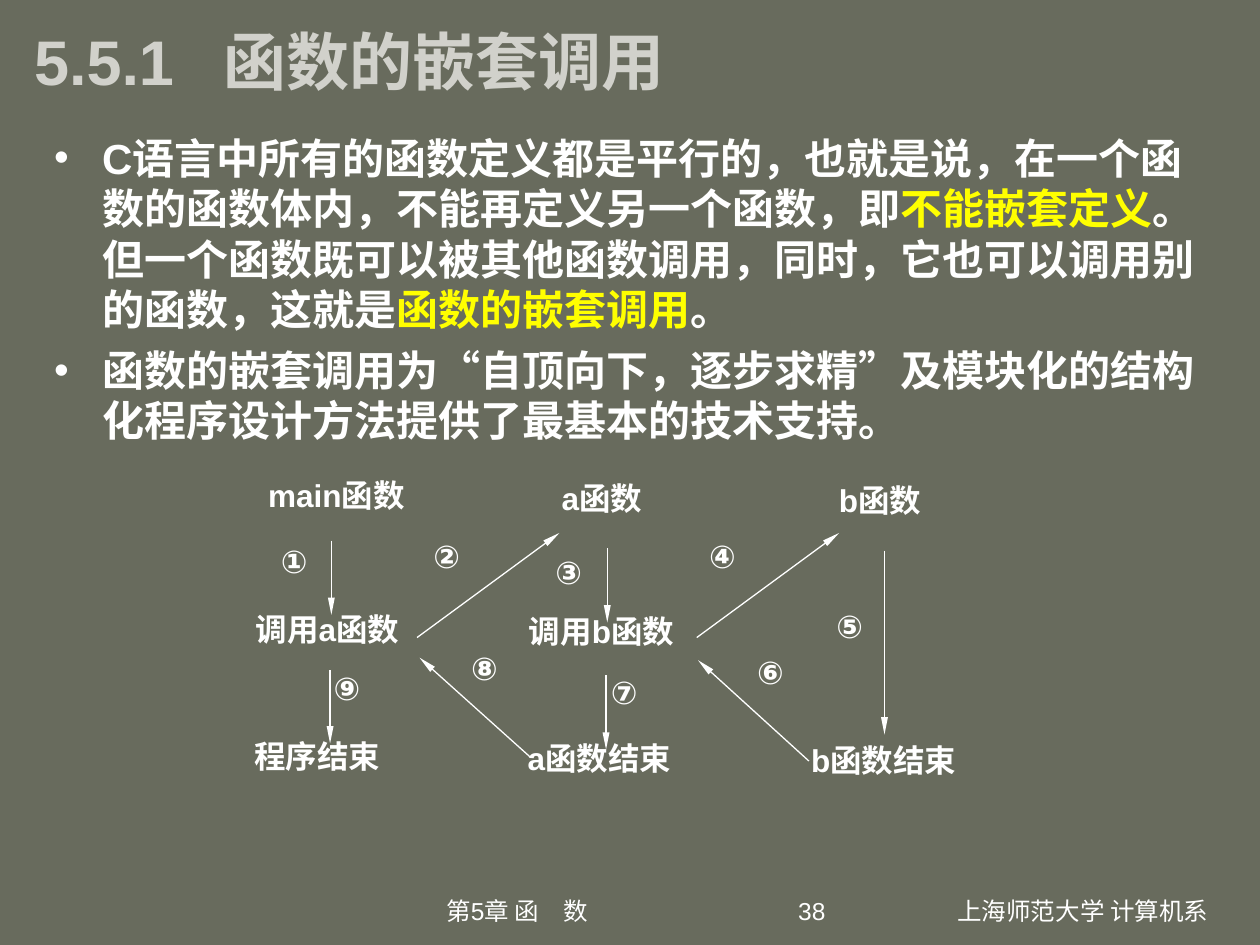
from pptx import Presentation
from pptx.dml.color import RGBColor
from pptx.enum.shapes import MSO_CONNECTOR
from pptx.enum.text import MSO_ANCHOR, MSO_AUTO_SIZE, PP_ALIGN
from pptx.oxml.ns import qn
from pptx.util import Inches, Pt
from lxml import etree

STRAIGHT = MSO_CONNECTOR.STRAIGHT
LEFT, CENTER, RIGHT = PP_ALIGN.LEFT, PP_ALIGN.CENTER, PP_ALIGN.RIGHT
JUSTIFY = PP_ALIGN.JUSTIFY
MIDDLE, TOP = MSO_ANCHOR.MIDDLE, MSO_ANCHOR.TOP
NO_FIT = MSO_AUTO_SIZE.NONE

BACKGROUND = RGBColor(0x68, 0x6B, 0x5D)
TITLE_GRAY = RGBColor(0xD1, 0xD1, 0xCB)
WHITE = RGBColor(0xFF, 0xFF, 0xFF)
YELLOW = RGBColor(0xFF, 0xFF, 0x00)
FONT = "Arial"

BULLETS = [
    [("C语言中所有的函数定义都是平行的，也就是说，在一个函数的函数体内，不能再定义另一个函数，即", WHITE),
     ("不能嵌套定义", YELLOW),
     ("。但一个函数既可以被其他函数调用，同时，它也可以调用别的函数，这就是", WHITE),
     ("函数的嵌套调用", YELLOW),
     ("。", WHITE)],
    [("函数的嵌套调用为“自顶向下，逐步求精”及模块化的结构化程序设计方法提供了最基本的技术支持。", WHITE)],
]

# Text, left, top
STEP_SIZE = (0.58, 0.8)
STEPS = [
    ("①", 2.13, 4.25), ("②", 3.34, 4.21), ("③", 4.31, 4.34),
    ("④", 5.53, 4.21), ("⑤", 6.54, 4.77), ("⑥", 5.91, 5.13),
    ("⑦", 4.75, 5.29), ("⑧", 3.64, 5.1), ("⑨", 2.55, 5.26),
]
LABEL_SIZE = (1.6, 0.63)
LABELS = [
    ("main函数", 2.03, 3.73), ("调用a函数", 1.93, 4.79), ("程序结束", 1.92, 5.8),
    ("a函数", 4.36, 3.75), ("调用b函数", 4.1, 4.81), ("a函数结束", 4.09, 5.82),
    ("b函数", 6.56, 3.77), ("b函数结束", 6.34, 5.83),
]

# Start x, start y, end x, end y
ARROWS = [
    (2.63, 4.29, 2.63, 4.88), (2.62, 5.32, 2.62, 5.9),
    (4.82, 4.35, 4.82, 4.94), (4.81, 5.36, 4.81, 5.95),
    (7.02, 4.37, 7.02, 5.83),
    (3.31, 5.06, 4.44, 4.23), (5.53, 5.06, 6.66, 4.23),
    (6.42, 6.04, 5.54, 5.24), (4.21, 6.01, 3.33, 5.22),
]

FOOTERS = [
    ("第5章 函　数", 2.75, 2.71, CENTER),
    ("38", 5.57, 1.08, RIGHT),
    ("上海师范大学 计算机系", 7.5, 2.33, LEFT),
]


def add_run(p, text, size, color, bold):
    r = p.add_run()
    r.text = text
    r.font.name = FONT
    r.font.size = Pt(size)
    r.font.bold = bold
    r.font.color.rgb = color


def place(sp, left, top, width, height):
    sp.left, sp.top = Inches(left), Inches(top)
    sp.width, sp.height = Inches(width), Inches(height)


def add_title(s):
    sp = s.shapes.title
    place(sp, 0.17, 0, 9, 0.95)
    tf = sp.text_frame
    tf.auto_size = NO_FIT
    tf.vertical_anchor = MIDDLE
    p = tf.paragraphs[0]
    p.alignment = LEFT
    tabs = etree.SubElement(p._p.get_or_add_pPr(), qn("a:tabLst"))
    etree.SubElement(tabs, qn("a:tab"), pos=str(Inches(1.5)), algn="l")
    add_run(p, "5.5.1\t函数的嵌套调用", 36, TITLE_GRAY, True)


def set_bullet(p):
    """Give the paragraph a white round bullet with a hanging indent."""
    pPr = p._p.get_or_add_pPr()
    pPr.set("marL", str(Inches(0.38)))
    pPr.set("indent", str(-Inches(0.38)))
    color = etree.SubElement(pPr, qn("a:buClr"))
    etree.SubElement(color, qn("a:srgbClr"), val=str(WHITE))
    etree.SubElement(pPr, qn("a:buFont"), typeface=FONT)
    etree.SubElement(pPr, qn("a:buChar"), char="•")


def add_bullets(s):
    sp = s.placeholders[1]
    place(sp, 0.33, 1, 9.42, 5.89)
    tf = sp.text_frame
    tf.auto_size = NO_FIT
    tf.vertical_anchor = TOP
    for i, runs in enumerate(BULLETS):
        p = tf.add_paragraph() if i else tf.paragraphs[0]
        set_bullet(p)
        p.space_before = Pt(6 if i else 0)
        for text, color in runs:
            add_run(p, text, 24, color, True)


def add_text(s, text, left, top, width, height, align=JUSTIFY, size=18, bold=True):
    sp = s.shapes.add_textbox(Inches(left), Inches(top), Inches(width), Inches(height))
    tf = sp.text_frame
    tf.word_wrap = True
    p = tf.paragraphs[0]
    p.alignment = align
    add_run(p, text, size, WHITE, bold)


def add_arrow(s, x1, y1, x2, y2):
    line = s.shapes.add_connector(STRAIGHT, Inches(x1), Inches(y1), Inches(x2), Inches(y2))
    line.line.color.rgb = WHITE
    line.line.width = Pt(0.75)
    ln = line.line._get_or_add_ln()
    etree.SubElement(ln, qn("a:tailEnd"), type="triangle", w="sm", len="lg")
    etree.SubElement(line._element.spPr, qn("a:effectLst"))


def main():
    prs = Presentation()
    prs.slide_width, prs.slide_height = Inches(10), Inches(7.5)
    s = prs.slides.add_slide(prs.slide_layouts[1])
    s.background.fill.solid()
    s.background.fill.fore_color.rgb = BACKGROUND

    add_title(s)
    add_bullets(s)
    for text, left, top in STEPS:
        add_text(s, text, left, top, *STEP_SIZE)
    for text, left, top in LABELS:
        add_text(s, text, left, top, *LABEL_SIZE)
    for ends in ARROWS:
        add_arrow(s, *ends)
    for text, left, width, align in FOOTERS:
        add_text(s, text, left, 7.06, width, 0.35, align, size=14, bold=False)

    prs.save("out.pptx")


if __name__ == "__main__":
    main()
